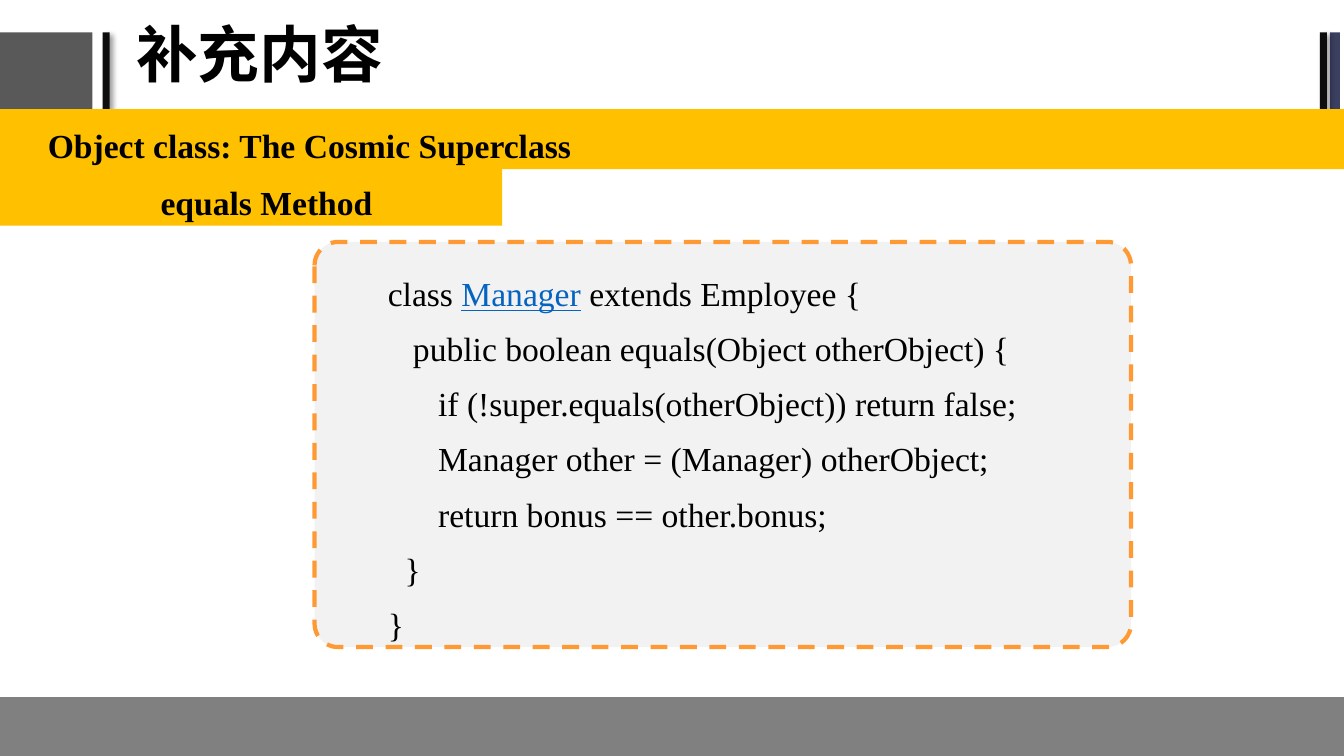
from lxml import etree
from pptx import Presentation
from pptx.dml.color import RGBColor
from pptx.enum.dml import MSO_LINE_DASH_STYLE as Dash
from pptx.enum.shapes import MSO_SHAPE as Shape
from pptx.enum.text import MSO_ANCHOR as Anchor
from pptx.oxml import parse_xml
from pptx.oxml.ns import nsdecls, qn
from pptx.util import Pt

SERIF = "Times New Roman"
SANS = "Noto Sans CJK SC"
BLACK = "000000"
NEAR_BLACK = "0D0D0D"
YELLOW = "FFC000"
LINK_BLUE = "0563C1"
SHADOW = (
    f'<a:effectLst {nsdecls("a")}>'
    '<a:outerShdw blurRad="50800" dist="38100" dir="2700000" algn="tl" rotWithShape="0">'
    '<a:srgbClr val="000000"><a:alpha val="40000"/></a:srgbClr>'
    '</a:outerShdw></a:effectLst>'
)
CODE = [
    ["class ", ("Manager", LINK_BLUE), " extends Employee {"],
    ["   public boolean equals(Object otherObject) {"],
    ["      if (!super.equals(otherObject)) return false;"],
    ["      Manager other = (Manager) otherObject;"],
    ["      return bonus == other.bonus;"],
    ["  }"],
    ["}"],
]


def color(value):
    return RGBColor.from_string(value)


def add_block(slide, left, top, width, height, fill, kind=Shape.RECTANGLE, shadow=False):
    shape = slide.shapes.add_shape(kind, Pt(left), Pt(top), Pt(width), Pt(height))
    shape.shadow.inherit = False
    if shadow:
        properties = shape._element.spPr
        properties.remove(properties.find(qn("a:effectLst")))
        properties.append(parse_xml(SHADOW))
    shape.fill.solid()
    shape.fill.fore_color.rgb = color(fill)
    shape.line.fill.background()
    return shape


def add_run(paragraph, text, size=24, font=SERIF, bold=False, fill=BLACK, underline=False):
    run = paragraph.add_run()
    run.text = text
    run.font.size = Pt(size)
    run.font.name = font
    run.font.bold = bold
    run.font.underline = underline
    run.font.color.rgb = color(fill)
    etree.SubElement(run.font._element, qn("a:ea")).set("typeface", font)


def add_text(slide, left, top, width, height, lines, spacing=1.2, before=4.8,
             inset=(9.4, 5), anchor=Anchor.TOP, **run_format):
    box = slide.shapes.add_textbox(Pt(left), Pt(top), Pt(width), Pt(height))
    frame = box.text_frame
    frame.word_wrap = True
    frame.vertical_anchor = anchor
    frame.margin_left = frame.margin_right = Pt(inset[0])
    frame.margin_top = frame.margin_bottom = Pt(inset[1])
    for index, pieces in enumerate(lines):
        paragraph = frame.add_paragraph() if index else frame.paragraphs[0]
        paragraph.line_spacing = spacing
        if index:
            paragraph.space_before = Pt(before)
        for piece in pieces:
            if isinstance(piece, tuple):
                text, fill = piece
                add_run(paragraph, text, fill=fill, underline=True, **run_format)
            else:
                add_run(paragraph, piece, **run_format)


def add_header(slide):
    for left, width, fill, shadow in [
        (-1.4, 67.4, "595959", False),
        (73.4, 5, NEAR_BLACK, True),
        (950, 7.2, "3B3F60", False),
        (942.8, 5, NEAR_BLACK, True),
    ]:
        add_block(slide, left, 23.2, width, 54.8, fill, shadow=shadow)
    add_text(slide, 90.3, 1.4, 610, 79.2, [["补充内容"]], spacing=0.9, inset=(7.2, 3.6),
             anchor=Anchor.MIDDLE, size=44, font=SANS, bold=True)


def add_code_panel(slide):
    panel = add_block(slide, 224.7, 172.8, 583.2, 289.4, "F2F2F2", Shape.ROUNDED_RECTANGLE)
    panel.adjustments[0] = 0.058
    panel.line.color.rgb = color("FF9933")
    panel.line.width = Pt(3)
    panel.line.dash_style = Dash.DASH
    add_text(slide, 267.6, 184.3, 497.5, 270, CODE)


def add_banner(slide, top, width, text_left, text):
    add_block(slide, 0, top, width, 42.8, YELLOW)
    add_text(slide, text_left, top + 0.5, width - text_left, 41.8, [[text]], bold=True)


def main():
    presentation = Presentation()
    presentation.slide_width = Pt(960)
    presentation.slide_height = Pt(540)
    slide = presentation.slides.add_slide(presentation.slide_layouts[6])
    add_header(slide)
    add_code_panel(slide)
    add_banner(slide, 78, 960, 24.8, "Object class: The Cosmic Superclass")
    add_block(slide, 0, 498, 960, 42, "808080")
    add_banner(slide, 118.5, 358.6, 105.3, "equals Method")
    presentation.save("out.pptx")


if __name__ == "__main__":
    main()
